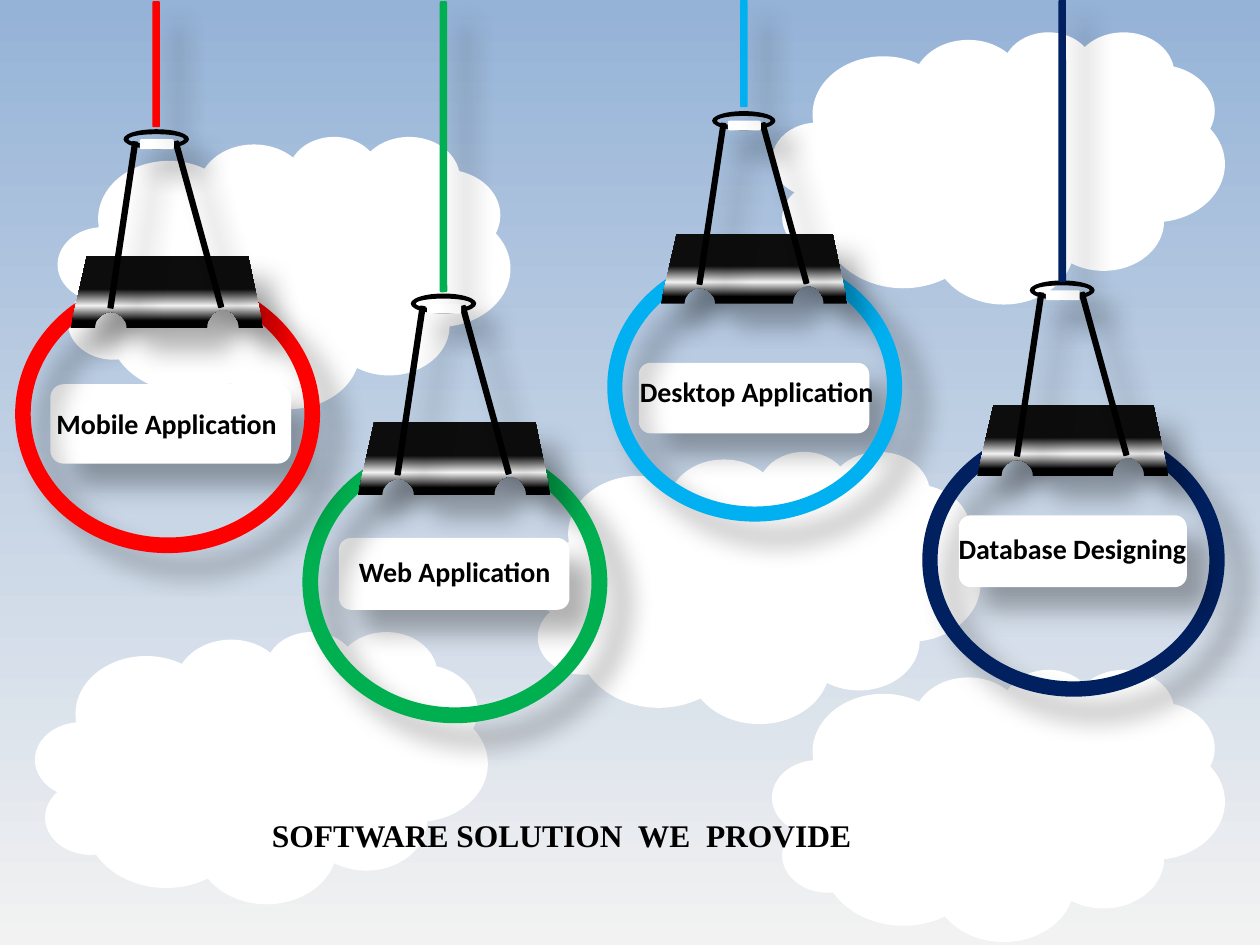
import dataclasses
import math
import typing

import lxml.etree
import pptx
import pptx.dml.color
import pptx.enum.shapes
import pptx.enum.text
import pptx.oxml.ns
import pptx.util

Inches = pptx.util.Inches
Shape = pptx.enum.shapes.MSO_SHAPE
qn = pptx.oxml.ns.qn


class Box(typing.NamedTuple):
    left: float
    top: float
    width: float
    height: float


@dataclasses.dataclass
class Hanger:
    text: str
    color: str
    ring: Box
    label: Box
    text_box: Box
    cord_top: float
    cord_height: float
    label_in_front: bool = False


class Part(typing.NamedTuple):
    kind: typing.Any
    box: Box
    color: str
    rotation: float = 0


BACKGROUND_STOPS = [(0, "F2F2F2"), (100, "95B3D7")]
CLIP_STOPS = [(10, "000000"), (31, "F2F2F2"), (54, "0D0D0D")]
RING_SIZE = (2.42, 2.24)
CLOUD_SIZE = (3.59, 2.16)
CLOUD_CORNERS = [(0.46, 1.08), (6.13, 0.25), (4.19, 3.58), (0.28, 5.01), (6.13, 5.31)]

HANDLE_PARTS = [
    Part(Shape.DONUT, Box(0.86, -1.17, 0.52, 0.16), "000000"),
    Part(Shape.ROUNDED_RECTANGLE, Box(0.83, -1.08, 0.05, 1.36), "000000", 8.5),
    Part(Shape.ROUNDED_RECTANGLE, Box(1.43, -1.1, 0.05, 1.39), "000000", 344.6),
    Part(Shape.ROUNDED_RECTANGLE, Box(0.99, -1.09, 0.27, 0.08), "FFFFFF"),
]

HANGERS = [
    Hanger("Web Application", "00B050", Box(2.4, 3.5, 2.42, 2.24),
           Box(2.69, 4.27, 1.83, 0.57), Box(2.75, 4.35, 1.83, 0.64), 0.01, 2.31),
    Hanger("Desktop Application", "00B0F0", Box(4.82, 2, 2.34, 2.14),
           Box(5.07, 2.88, 1.83, 0.56), Box(4.98, 2.92, 2.12, 0.64), 0, 0.85),
    Hanger("Database Designing", "002060", Box(7.32, 3.36, 2.4, 2.17),
           Box(7.61, 4.09, 1.81, 0.57), Box(7.51, 4.17, 2.49, 0.64), 0, 2.24, True),
    Hanger("Mobile Application", "FF0000", Box(0.12, 2.18, 2.42, 2.21),
           Box(0.4, 3.05, 1.91, 0.63), Box(0.35, 3.18, 2.16, 0.77), 0.01, 1),
]


def rgb(color: str) -> pptx.dml.color.RGBColor:
    return pptx.dml.color.RGBColor.from_string(color)


def lengths(box: Box) -> list:
    return [Inches(value) for value in box]


def set_gradient(fill, element, stops: list) -> None:
    fill.gradient()
    fill.gradient_angle = 90
    stop_list = element.find(".//" + qn("a:gsLst"))
    for old_stop in list(stop_list):
        stop_list.remove(old_stop)
    for position, color in stops:
        stop = lxml.etree.SubElement(stop_list, qn("a:gs"), pos=str(position * 1000))
        lxml.etree.SubElement(stop, qn("a:srgbClr"), val=color)


def add_shadow(shape) -> None:
    shape.shadow.inherit = False
    effects = shape._element.spPr.find(qn("a:effectLst"))
    shadow = lxml.etree.SubElement(
        effects, qn("a:outerShdw"), blurRad=str(pptx.util.Pt(15)),
        dist=str(pptx.util.Pt(18)), dir="2700000", algn="tl", rotWithShape="0")
    color = lxml.etree.SubElement(shadow, qn("a:srgbClr"), val="000000")
    lxml.etree.SubElement(color, qn("a:alpha"), val="30000")


def add_solid(shapes, kind, box: Box, color: str, shadow: bool = True):
    shape = shapes.add_shape(kind, *lengths(box))
    shape.fill.solid()
    shape.fill.fore_color.rgb = rgb(color)
    shape.line.fill.background()
    if shadow:
        add_shadow(shape)
    else:
        shape.shadow.inherit = False
    return shape


def add_text(shapes, box: Box, text: str, font_name: str, size: int, wrap: bool) -> None:
    shape = shapes.add_textbox(*lengths(box))
    shape.text_frame.word_wrap = wrap
    shape.text_frame.auto_size = pptx.enum.text.MSO_AUTO_SIZE.NONE
    run = shape.text_frame.paragraphs[0].add_run()
    run.text = text
    font_format = {"name": font_name, "size": pptx.util.Pt(size), "bold": True}
    for name, value in font_format.items():
        setattr(run.font, name, value)
    run.font.color.rgb = rgb("000000")


def notch(center: float, height: float) -> list:
    angles = [math.pi * step / 16 for step in range(17)]
    return [(center + 0.125 * math.cos(angle), 0.58 - height * math.sin(angle))
            for angle in angles]


def add_clip(shapes, ring: Box, scale_x: float, scale_y: float) -> None:
    outline = [(0.13, 0), (1.41, 0), (1.53, 0.58), *notch(1.21, 0.15),
               *notch(0.32, 0.13), (0, 0.58)]
    points = [(Inches(ring.left + (0.44 + x) * scale_x),
               Inches(ring.top + (y - 0.15) * scale_y)) for x, y in outline]
    builder = shapes.build_freeform(*points[0])
    builder.add_line_segments(points[1:], close=True)
    clip = builder.convert_to_shape()
    set_gradient(clip.fill, clip._element, CLIP_STOPS)
    clip.line.fill.background()
    add_shadow(clip)


def add_holder(shapes, hanger: Hanger, scale_x: float, scale_y: float) -> None:
    ring = hanger.ring
    holder = shapes.add_group_shape().shapes
    add_solid(holder, Shape.DONUT, ring, hanger.color).adjustments[0] = 0.056
    add_clip(holder, ring, scale_x, scale_y)
    for part in HANDLE_PARTS:
        box = Box(ring.left + part.box.left * scale_x, ring.top + part.box.top * scale_y,
                  part.box.width * scale_x, part.box.height * scale_y)
        add_solid(holder, part.kind, box, part.color).rotation = part.rotation


def add_hanger(shapes, hanger: Hanger) -> None:
    scale_x = hanger.ring.width / RING_SIZE[0]
    scale_y = hanger.ring.height / RING_SIZE[1]
    cord = Box(hanger.ring.left + 1.09 * scale_x, hanger.cord_top, 0.06, hanger.cord_height)
    if not hanger.label_in_front:
        add_solid(shapes, Shape.ROUNDED_RECTANGLE, hanger.label, "FFFFFF")
    add_holder(shapes, hanger, scale_x, scale_y)
    add_solid(shapes, Shape.ROUNDED_RECTANGLE, cord, hanger.color)
    if hanger.label_in_front:
        add_solid(shapes, Shape.ROUNDED_RECTANGLE, hanger.label, "FFFFFF")
    add_text(shapes, hanger.text_box, hanger.text, "Calibri", 16, True)


def main() -> None:
    presentation = pptx.Presentation()
    presentation.slide_width = Inches(10)
    presentation.slide_height = Inches(7.5)
    slide = presentation.slides.add_slide(presentation.slide_layouts[6])
    set_gradient(slide.background.fill, slide._element, BACKGROUND_STOPS)
    clouds = slide.shapes.add_group_shape().shapes
    for left, top in CLOUD_CORNERS:
        add_solid(clouds, Shape.CLOUD, Box(left, top, *CLOUD_SIZE), "FFFFFF", False)
    add_text(slide.shapes, Box(2.06, 6.43, 4.85, 0.4), "SOFTWARE SOLUTION  WE  PROVIDE",
             "Times New Roman", 18, False)
    for hanger in HANGERS:
        add_hanger(slide.shapes, hanger)
    presentation.save("out.pptx")


main()
